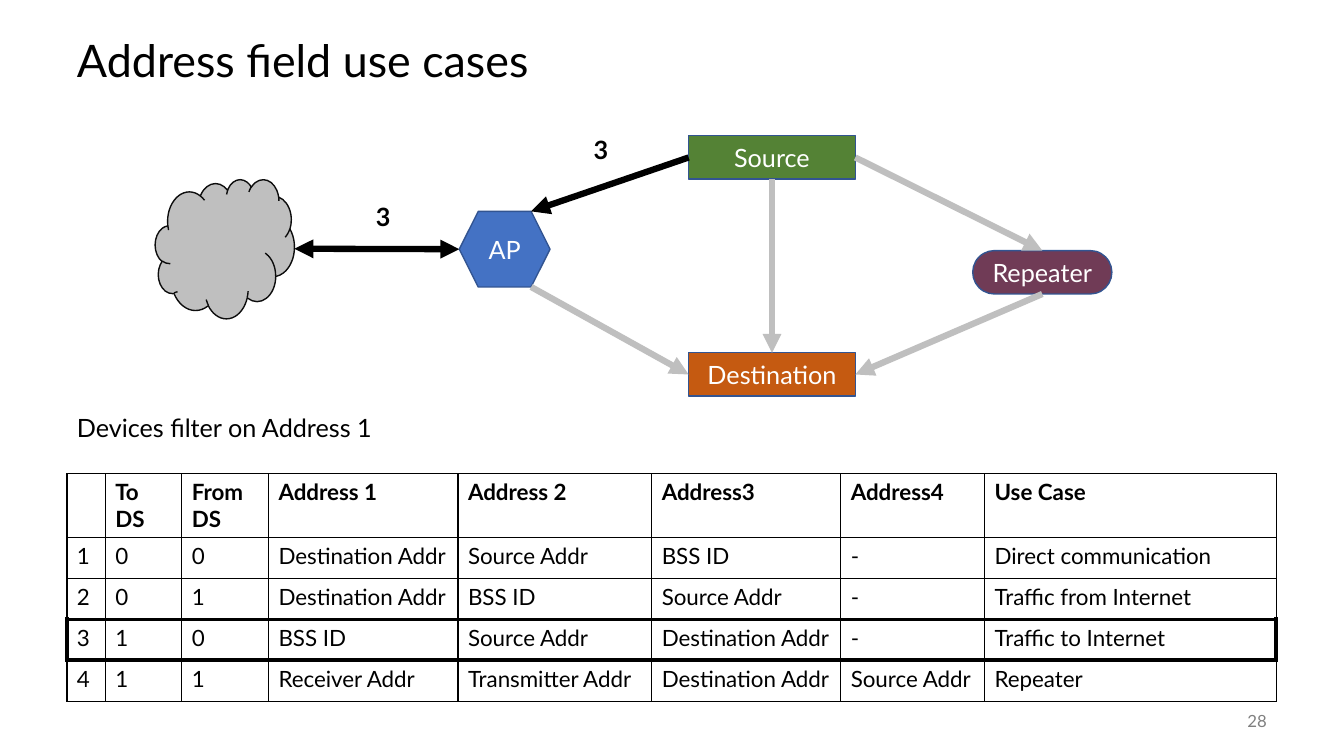
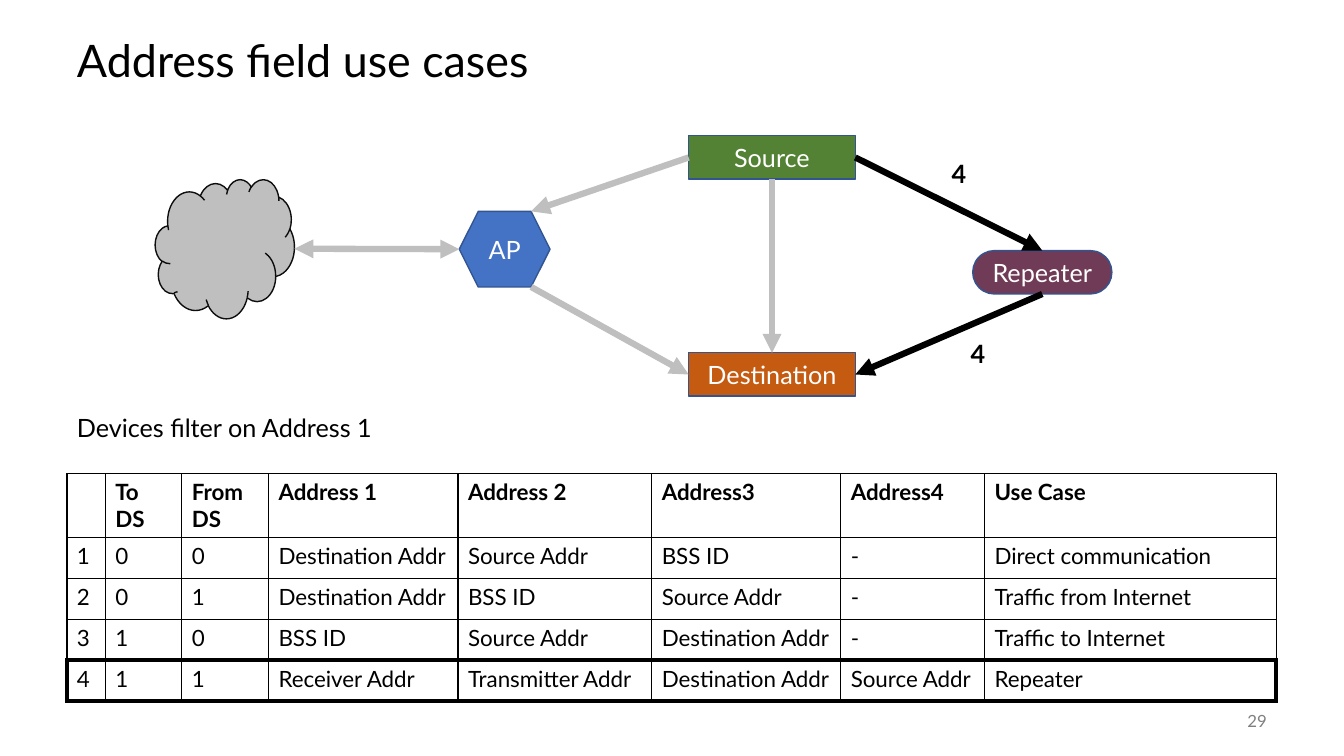
from lxml import etree
from pptx import Presentation
from pptx.dml.color import RGBColor
from pptx.enum.shapes import MSO_CONNECTOR, MSO_SHAPE
from pptx.enum.text import MSO_ANCHOR, MSO_AUTO_SIZE, PP_ALIGN
from pptx.oxml.ns import qn
from pptx.util import Pt

LEFT, CENTER, RIGHT = PP_ALIGN.LEFT, PP_ALIGN.CENTER, PP_ALIGN.RIGHT
TOP, MIDDLE = MSO_ANCHOR.TOP, MSO_ANCHOR.MIDDLE
NO_AUTOFIT = MSO_AUTO_SIZE.NONE
STRAIGHT = MSO_CONNECTOR.STRAIGHT
CLOUD, HEXAGON = MSO_SHAPE.CLOUD, MSO_SHAPE.HEXAGON
RECTANGLE, ROUNDED = MSO_SHAPE.RECTANGLE, MSO_SHAPE.ROUNDED_RECTANGLE

FONT = "Lato"
BLACK, WHITE, MUTED, NUMBER_GRAY = "000000", "FFFFFF", "BFBFBF", "808080"
NODE_LINE, CLOUD_LINE = "325491", "0D0D0D"
MARGIN, CONTENT_WIDTH = 47.8, 864

COLUMNS = [27.4, 54.7, 61.9, 135.4, 138.4, 135, 102.8, 208.4]
HEADER_HEIGHT, ROW_HEIGHT = 45.6, 29.2
USE_CASES = [
    ["", "To DS", "From DS", "Address 1", "Address 2", "Address3", "Address4", "Use Case"],
    ["1", "0", "0", "Destination Addr", "Source Addr", "BSS ID", "-", "Direct communication"],
    ["2", "0", "1", "Destination Addr", "BSS ID", "Source Addr", "-", "Traffic from Internet"],
    ["3", "1", "0", "BSS ID", "Source Addr", "Destination Addr", "-", "Traffic to Internet"],
    ["4", "1", "1", "Receiver Addr", "Transmitter Addr", "Destination Addr", "Source Addr",
     "Repeater"],
]

NODES = {
    "cloud": (CLOUD, "", (110.9, 128, 99.4, 99.4), MUTED, CLOUD_LINE),
    "ap": (HEXAGON, "AP", (328.1, 151, 64.8, 54), "4472C4", NODE_LINE),
    "source": (RECTANGLE, "Source", (491.9, 97, 119.1, 31), "548235", NODE_LINE),
    "destination": (RECTANGLE, "Destination", (491.9, 252, 119.1, 31), "C55A11", NODE_LINE),
    "repeater": (ROUNDED, "Repeater", (694.8, 179, 99.4, 31), "703B56", NODE_LINE),
}
AP_SHOULDER = 1 - 13.5 / 64.8
SIDES = {
    "left": (0, 0.5), "right": (1, 0.5), "top": (0.5, 0), "bottom": (0.5, 1),
    "upper": (AP_SHOULDER, 0), "lower": (AP_SHOULDER, 1),
}
LINKS = [
    ("cloud", "right", "ap", "left", {2, 3}),
    ("source", "left", "ap", "upper", {3}),
    ("ap", "lower", "destination", "left", {2}),
    ("source", "bottom", "destination", "top", {1}),
    ("source", "right", "repeater", "top", {4}),
    ("repeater", "bottom", "destination", "right", {4}),
]
SLIDES = [
    (28, 3, [(261.4, 140.4), (416.9, 92.6)]),
    (29, 4, [(686.2, 238.3), (672.7, 109.4)]),
]


def color(value):
    return RGBColor.from_string(value)


def write(frame, text, size=18, ink=BLACK, bold=False, align=LEFT, anchor=TOP, spacing=1):
    frame.word_wrap = True
    frame.vertical_anchor = anchor
    paragraph = frame.paragraphs[0]
    paragraph.text = text
    paragraph.alignment = align
    paragraph.line_spacing = spacing
    font = paragraph.font
    font.name, font.size, font.bold = FONT, Pt(size), bold
    font.color.rgb = color(ink)


def site(node, side):
    left, top, width, height = NODES[node][2]
    across, down = SIDES[side]
    return Pt(left + across * width), Pt(top + down * height)


class Deck:
    def __init__(self):
        self.presentation = Presentation()
        self.presentation.slide_width = Pt(960)
        self.presentation.slide_height = Pt(540)
        self.slide = None

    def start(self, heading, number):
        layout = self.presentation.slide_layouts[5]
        self.slide = self.presentation.slides.add_slide(layout)
        title = self.slide.shapes.title
        title.left, title.top = Pt(MARGIN), Pt(18)
        title.width, title.height = Pt(CONTENT_WIDTH), Pt(54)
        write(title.text_frame, heading, size=32, anchor=MIDDLE, spacing=0.9)
        title.text_frame.auto_size = NO_AUTOFIT
        self.label(str(number), 840, 500.4, 72, size=12, ink=NUMBER_GRAY,
                   align=RIGHT, anchor=MIDDLE)

    def label(self, text, left, top, width, **style):
        box = self.slide.shapes.add_textbox(Pt(left), Pt(top), Pt(width), Pt(28.8))
        write(box.text_frame, text, **style)

    def node(self, outline, name, place, fill, line):
        device = self.slide.shapes.add_shape(outline, *map(Pt, place))
        device.shadow.inherit = False
        device.fill.solid()
        device.fill.fore_color.rgb = color(fill)
        device.line.color.rgb = color(line)
        device.line.width = Pt(1)
        if outline == ROUNDED:
            device.adjustments[0] = 0.5
        if name:
            write(device.text_frame, name, ink=WHITE, align=CENTER, anchor=MIDDLE)

    def arrow(self, start, end, ink, both_ways):
        link = self.slide.shapes.add_connector(STRAIGHT, *start, *end)
        link.line.color.rgb = color(ink)
        link.line.width = Pt(4.5)
        stroke = link.line._get_or_add_ln()
        for tip in ["headEnd", "tailEnd"] if both_ways else ["tailEnd"]:
            etree.SubElement(stroke, qn(f"a:{tip}"), type="triangle")
        etree.SubElement(link._element.spPr, qn("a:effectLst"))

    def border(self, cell, widths):
        properties = cell._tc.get_or_add_tcPr()
        for side, width in zip("LRTB", widths):
            edge = etree.SubElement(properties, qn(f"a:ln{side}"), w=str(Pt(width)))
            fill = etree.SubElement(edge, qn("a:solidFill"))
            etree.SubElement(fill, qn("a:srgbClr"), val=BLACK)

    def table(self, rows, active):
        height = HEADER_HEIGHT + ROW_HEIGHT * (len(rows) - 1)
        grid = self.slide.shapes.add_table(
            len(rows), len(COLUMNS), Pt(MARGIN), Pt(338.4), Pt(CONTENT_WIDTH), Pt(height)).table
        grid.first_row = grid.horz_banding = False
        for column, width in zip(grid.columns, COLUMNS):
            column.width = Pt(width)
        last = len(COLUMNS) - 1
        for r, row in enumerate(rows):
            grid.rows[r].height = Pt(ROW_HEIGHT if r else HEADER_HEIGHT)
            for c, text in enumerate(row):
                cell = grid.cell(r, c)
                thick = (r == active and c == 0, r == active and c == last,
                         r in (active, active + 1), r in (active - 1, active))
                self.border(cell, [3 if heavy else 1 for heavy in thick])
                cell.fill.background()
                write(cell.text_frame, text, size=16, bold=r == 0)


def main():
    deck = Deck()
    for number, case, marks in SLIDES:
        deck.start("Address field use cases", number)
        deck.table(USE_CASES, case)
        for device in NODES.values():
            deck.node(*device)
        for sender, exit_side, receiver, entry_side, cases in LINKS:
            deck.arrow(site(sender, exit_side), site(receiver, entry_side),
                       BLACK if case in cases else MUTED, sender == "cloud")
        for left, top in marks:
            deck.label(str(case), left, top, 37.4, bold=True)
        deck.label("Devices filter on Address 1", MARGIN, 290.9, 344.9)
    deck.presentation.save("out.pptx")


if __name__ == "__main__":
    main()
